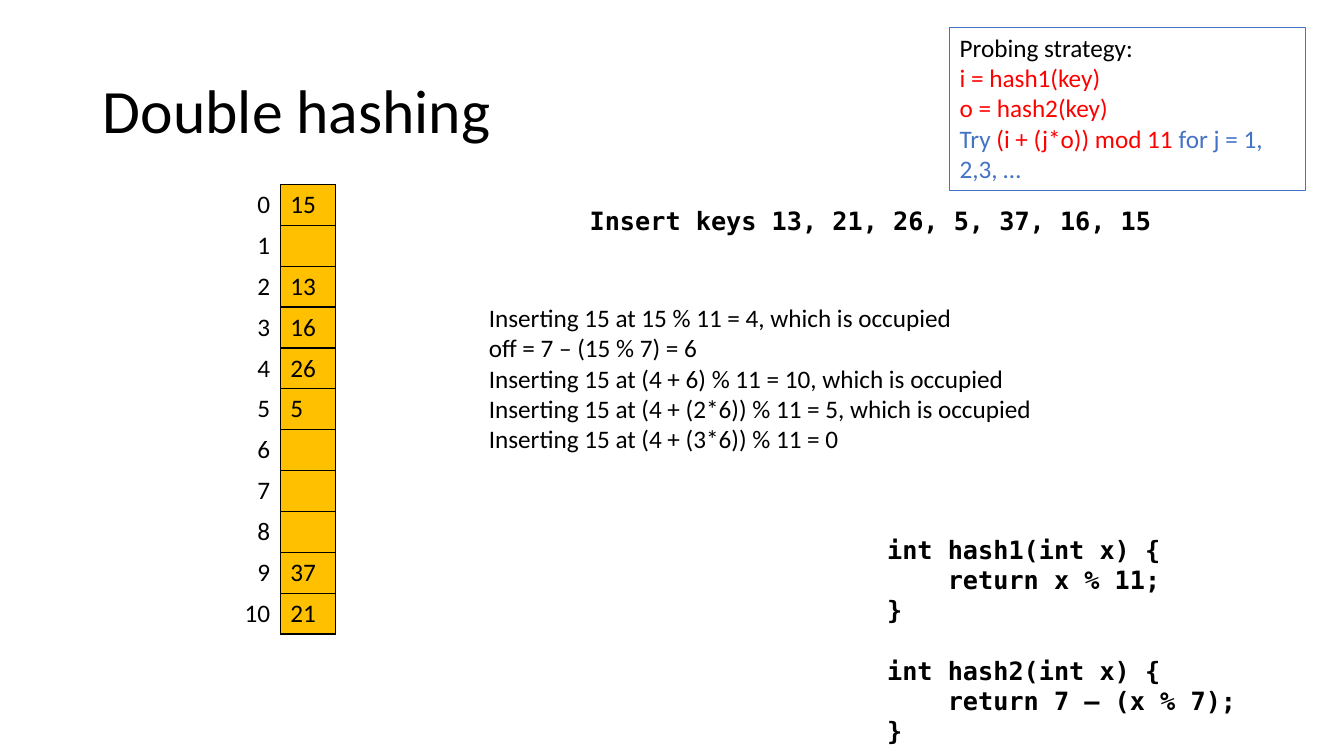
import pptx
import pptx.dml.color
import pptx.enum.text
import pptx.oxml
import pptx.oxml.ns
import pptx.util
from pptx.dml.color import RGBColor
from pptx.enum.text import MSO_ANCHOR, PP_ALIGN
from pptx.util import Inches

BLACK = RGBColor(0x00, 0x00, 0x00)
RED = RGBColor(0xFF, 0x00, 0x00)
BLUE = RGBColor(0x44, 0x72, 0xC4)
AMBER = RGBColor(0xFF, 0xC0, 0x00)

BODY = {"name": "Calibri", "size": pptx.util.Pt(18), "bold": False}
CODE = {"name": "DejaVu Sans Mono", "size": pptx.util.Pt(18), "bold": True}
TITLE = {"name": "Calibri", "size": pptx.util.Pt(44), "bold": False}

BUCKETS = ["15", "", "13", "16", "26", "5", "", "", "", "37", "21"]
FUNCTIONS = [
    ["int hash1(int x) {", "    return x % 11;", "}"],
    ["int hash2(int x) {", "    return 7 – (x % 7);", "}"],
]
INSERT_STEPS = [
    "Inserting 15 at 15 % 11 = 4, which is occupied",
    "off = 7 – (15 % 7) = 6",
    "Inserting 15 at (4 + 6) % 11 = 10, which is occupied",
    "Inserting 15 at (4 + (2*6)) % 11 = 5, which is occupied",
    "Inserting 15 at (4 + (3*6)) % 11 = 0",
]
STRATEGY = [
    [("Probing strategy:", BLACK)],
    [("i = hash1(key)", RED)],
    [("o = hash2(key)", RED)],
    [("Try ", BLUE), ("(i + (j*o)) mod 11 ", RED), ("for j = 1, 2,3, …", BLUE)],
]


def format_font(font, style, color=BLACK):
    for attribute, value in style.items():
        setattr(font, attribute, value)
    font.color.rgb = color


def write_paragraph(paragraph, runs, style):
    for text, color in runs:
        run = paragraph.add_run()
        run.text = text
        format_font(run.font, style, color)


def add_text(slide, left, top, width, height, lines, style):
    """Add a text box; each line is a list of (text, colour) runs."""
    box = slide.shapes.add_textbox(
        Inches(left), Inches(top), Inches(width), Inches(height))
    frame = box.text_frame
    frame.word_wrap = True
    for number, runs in enumerate(lines):
        paragraph = frame.add_paragraph() if number else frame.paragraphs[0]
        write_paragraph(paragraph, runs, style)
    return box


def plain(lines):
    return [[(line, BLACK)] for line in lines]


def set_borders(cell, visible_sides):
    """Draw black borders on the given sides (of "LRTB") and hide the rest."""
    properties = cell._tc.get_or_add_tcPr()
    for side in "LRTB":
        paint = (f'<a:solidFill><a:srgbClr val="{str(BLACK)}"/></a:solidFill>'
                 if side in visible_sides else "<a:noFill/>")
        namespace = pptx.oxml.ns.nsdecls("a")
        properties.append(pptx.oxml.parse_xml(
            f'<a:ln{side} w="12700" {namespace}>{paint}</a:ln{side}>'))


def add_title(slide, text):
    title = slide.shapes.title
    title.left, title.top = Inches(0.92), Inches(0.4)
    title.width, title.height = Inches(11.5), Inches(1.45)
    title.text_frame.vertical_anchor = MSO_ANCHOR.MIDDLE
    paragraph = title.text_frame.paragraphs[0]
    paragraph.alignment = PP_ALIGN.LEFT
    paragraph.line_spacing = 0.9
    write_paragraph(paragraph, [(text, BLACK)], TITLE)


def add_hash_table(slide, buckets):
    table = slide.shapes.add_table(
        len(buckets), 2, Inches(2.23), Inches(1.83),
        Inches(1.1), Inches(4.46)).table
    table.first_row = False
    table.horz_banding = False
    for row, key in enumerate(buckets):
        index_cell, key_cell = table.cell(row, 0), table.cell(row, 1)
        set_borders(index_cell, "R")
        index_cell.fill.background()
        index_paragraph = index_cell.text_frame.paragraphs[0]
        index_paragraph.alignment = PP_ALIGN.RIGHT
        write_paragraph(index_paragraph, [(str(row), BLACK)], BODY)
        set_borders(key_cell, "LRTB")
        key_cell.fill.solid()
        key_cell.fill.fore_color.rgb = AMBER
        if key:
            write_paragraph(key_cell.text_frame.paragraphs[0],
                            [(key, BLACK)], BODY)


def add_functions(slide, functions):
    lines = [line for function in functions for line in function]
    box = add_text(slide, 8.7, 5.25, 3.72, 2.22, plain(lines), CODE)
    second_start = box.text_frame.paragraphs[len(functions[0])]
    second_start.space_before = pptx.util.Pt(21.5)


def add_strategy(slide):
    box = add_text(slide, 9.42, 0.27, 3.53, 1.62, STRATEGY, BODY)
    box.line.color.rgb = BLUE
    box.line.width = pptx.util.Pt(0.75)


def main():
    presentation = pptx.Presentation()
    presentation.slide_width = Inches(13.33)
    presentation.slide_height = Inches(7.5)
    title_only = presentation.slide_layouts[5]
    slide = presentation.slides.add_slide(title_only)
    add_title(slide, "Double hashing")
    add_hash_table(slide, BUCKETS)
    add_functions(slide, FUNCTIONS)
    add_text(slide, 5.75, 1.99, 6.26, 0.4,
             plain(["Insert keys 13, 21, 26, 5, 37, 16, 15"]), CODE)
    add_text(slide, 4.75, 2.95, 5.76, 1.92, plain(INSERT_STEPS), BODY)
    add_strategy(slide)
    presentation.save("out.pptx")


if __name__ == "__main__":
    main()
